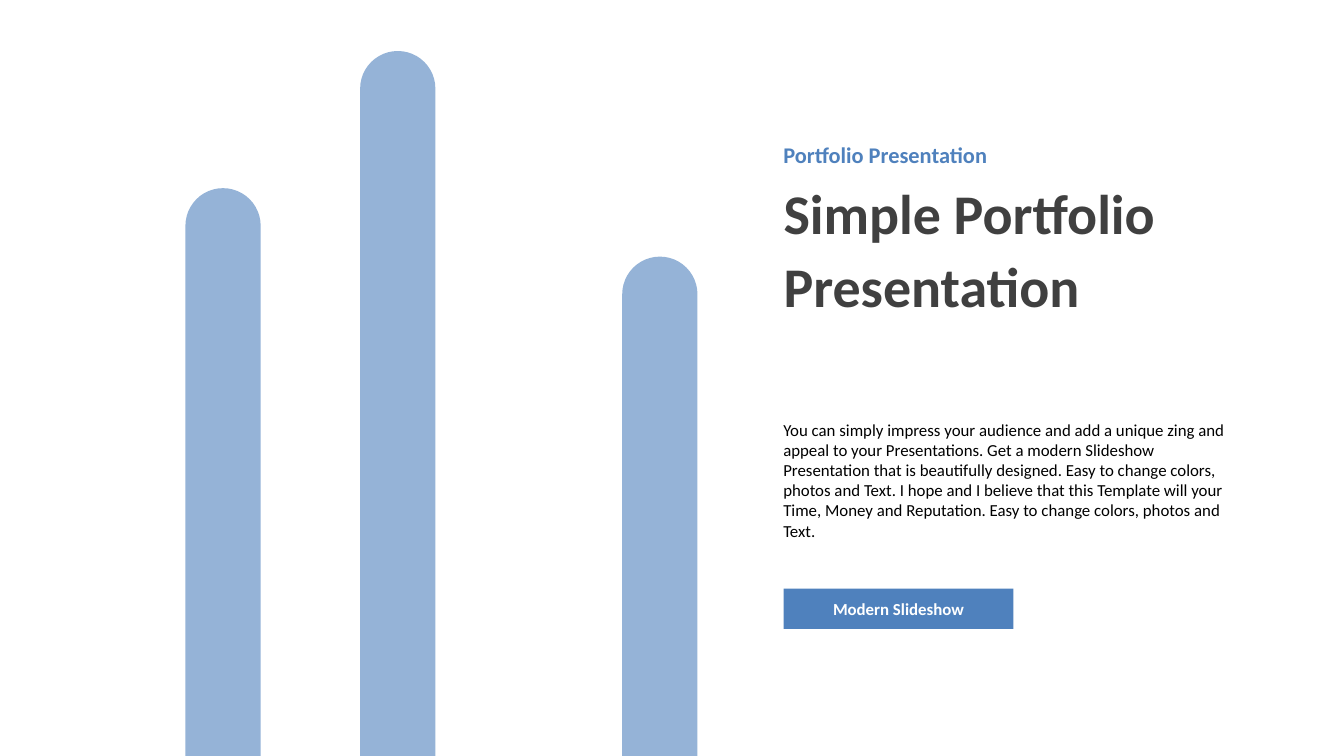
from lxml import etree
from pptx import Presentation
from pptx.dml.color import RGBColor
from pptx.enum.shapes import MSO_SHAPE
from pptx.enum.text import MSO_ANCHOR as Anchor, MSO_AUTO_SIZE as AutoSize, PP_ALIGN as Align
from pptx.oxml.ns import qn
from pptx.util import Inches, Pt

BLUE = RGBColor(0x4F, 0x81, 0xBD)
DARK_GRAY = RGBColor(0x40, 0x40, 0x40)
BLACK = RGBColor(0x00, 0x00, 0x00)
WHITE = RGBColor(0xFF, 0xFF, 0xFF)

SLIDE_WIDTH = 10
SLIDE_HEIGHT = SLIDE_WIDTH * 9 / 16
TEXT_LEFT = 5.73
BAR_WIDTH = 0.56

BODY = (
    "You can simply impress your audience and add a unique zing and appeal to your "
    "Presentations. Get a modern Slideshow Presentation that is beautifully designed. "
    "Easy to change colors, photos and Text. I hope and I believe that this Template "
    "will your Time, Money and Reputation. Easy to change colors, photos and Text."
)


def write_text(shape, text, anchor, align, line_spacing, font_format):
    frame = shape.text_frame
    frame.word_wrap = True
    frame.auto_size = AutoSize.NONE
    frame.vertical_anchor = anchor
    para = frame.paragraphs[0]
    para.alignment = align
    para.line_spacing = line_spacing
    para.space_before = Pt(0)
    span = para.add_run()
    span.text = text
    span.font.name = "Calibri"
    span.font.color.rgb = font_format["color"]
    for name in ("size", "bold"):
        setattr(span.font, name, font_format[name])


def add_filled_shape(kind, left, top, width, height):
    shape = page.shapes.add_shape(kind, Inches(left), Inches(top), Inches(width), Inches(height))
    shape.shadow.inherit = False
    shape.fill.solid()
    shape.fill.fore_color.rgb = BLUE
    shape.line.fill.background()
    return shape


deck = Presentation()
deck.slide_width = Inches(SLIDE_WIDTH)
deck.slide_height = Inches(SLIDE_HEIGHT)
page = deck.slides.add_slide(deck.slide_layouts[5])

tagline = page.shapes.add_textbox(Inches(TEXT_LEFT), Inches(0.99), Inches(2.54), Inches(0.32))
write_text(tagline, "Portfolio Presentation", Anchor.MIDDLE, Align.LEFT, 1.0,
           {"size": Pt(12), "bold": True, "color": BLUE})

title = page.shapes.title
title_place = {"left": TEXT_LEFT, "top": 1.33, "width": 3.56, "height": 0.99}
for name, value in title_place.items():
    setattr(title, name, Inches(value))
write_text(title, "Simple Portfolio Presentation", Anchor.MIDDLE, Align.LEFT, 1.1,
           {"size": Pt(30), "bold": True, "color": DARK_GRAY})

description = page.shapes.add_textbox(Inches(TEXT_LEFT), Inches(3.07), Inches(3.56), Inches(1.01))
write_text(description, BODY, Anchor.TOP, Align.LEFT, 1.0,
           {"size": Pt(9), "bold": False, "color": BLACK})

button = add_filled_shape(MSO_SHAPE.RECTANGLE, 5.83, 4.38, 1.71, 0.3)
write_text(button, "Modern Slideshow", Anchor.MIDDLE, Align.CENTER, 1.0,
           {"size": Pt(9), "bold": True, "color": WHITE})

for left, top in ((1.38, 1.4), (2.68, 0.38), (4.63, 1.91)):
    bar = add_filled_shape(MSO_SHAPE.ROUND_2_SAME_RECTANGLE, left, top, BAR_WIDTH, SLIDE_HEIGHT - top)
    bar.adjustments[0] = 0.5
    bar.adjustments[1] = 0
    fill_color = next(bar.element.spPr.iter(qn("a:srgbClr")))
    etree.SubElement(fill_color, qn("a:alpha"), val="60000")

deck.save("out.pptx")
